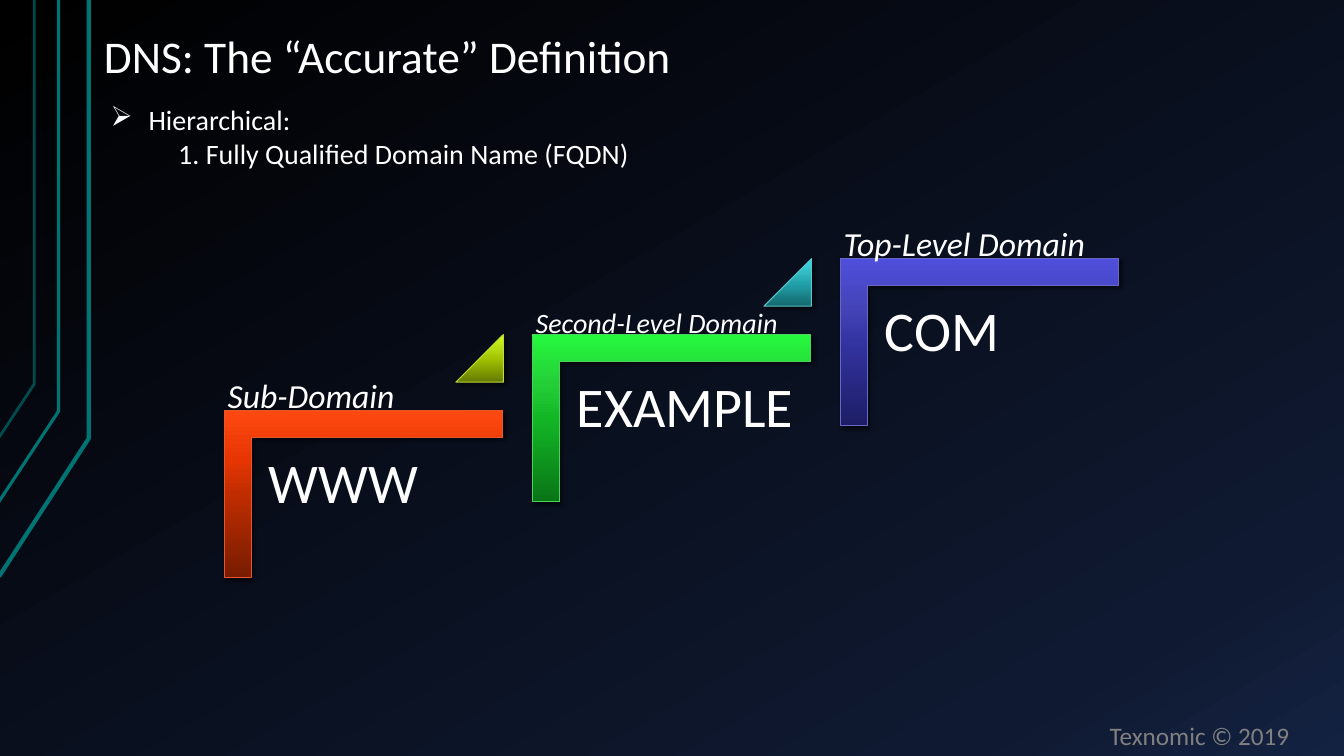
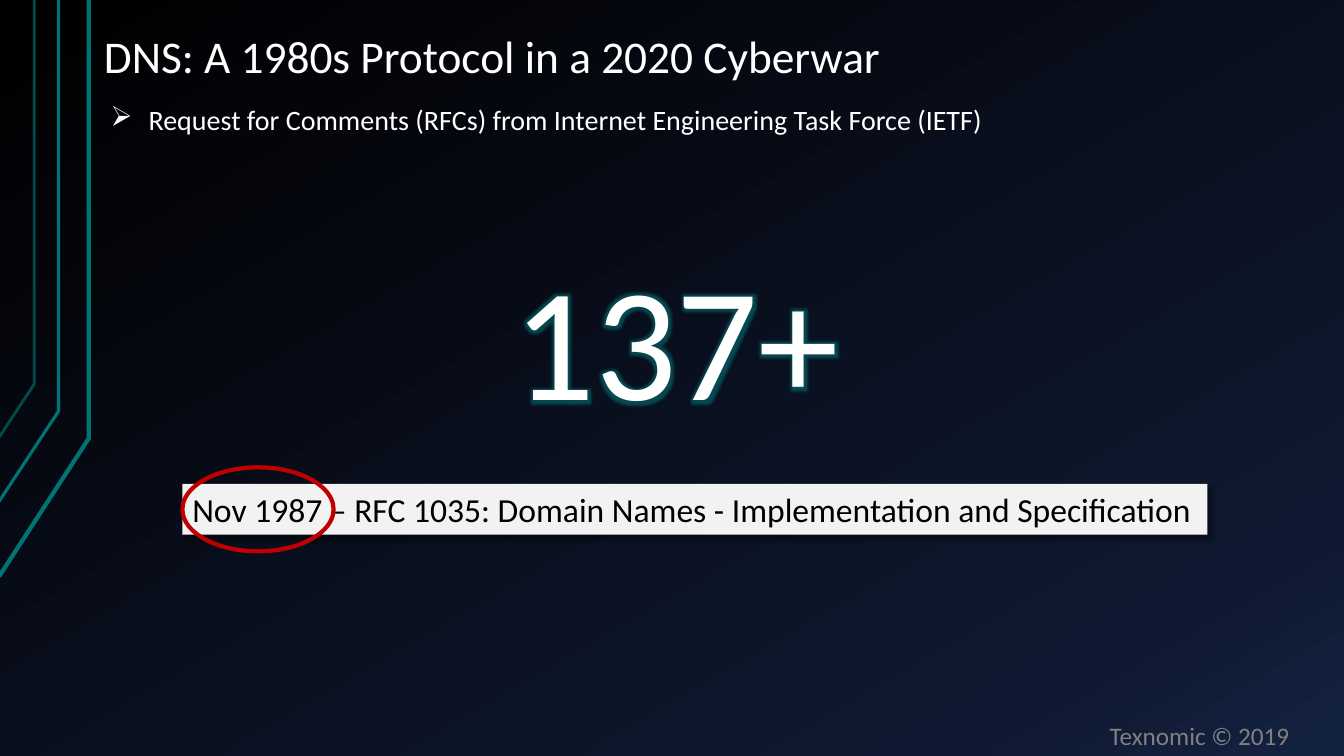
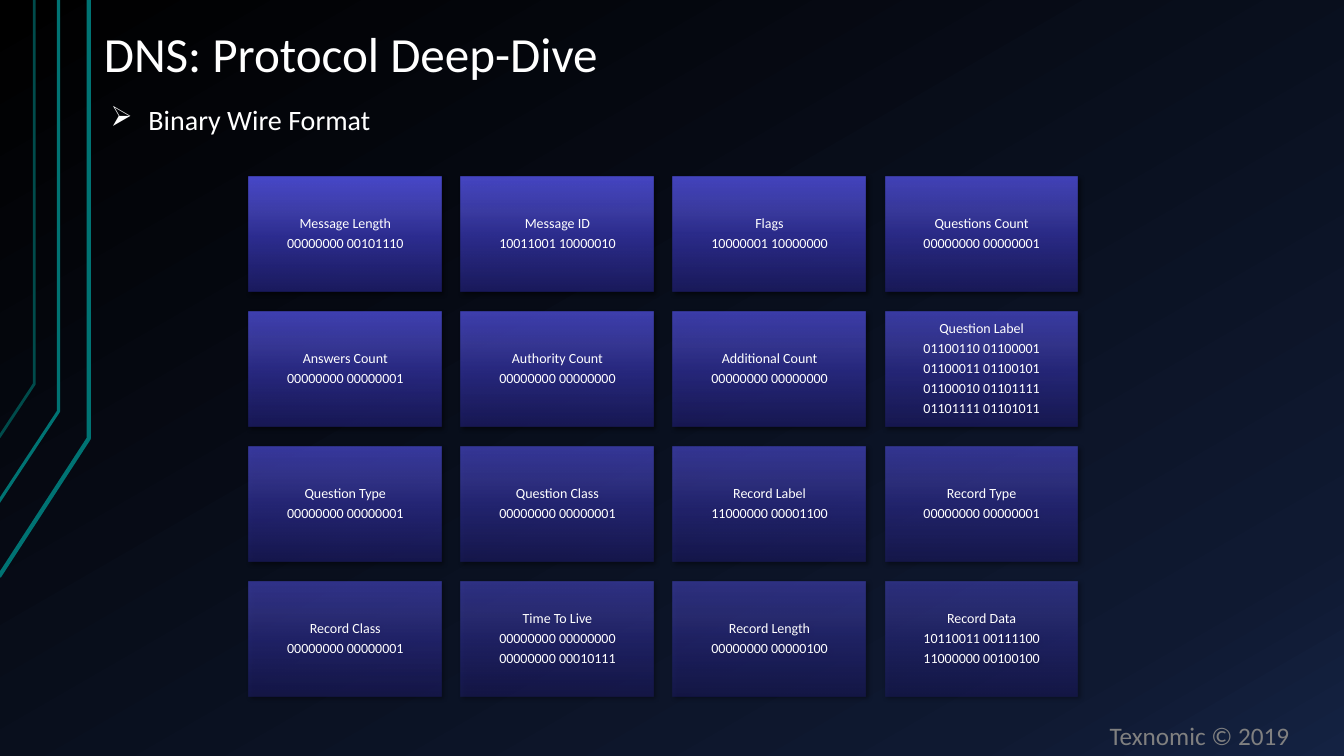
from lxml.etree import SubElement
from pptx import Presentation
from pptx.dml.color import RGBColor
from pptx.enum.shapes import MSO_SHAPE
from pptx.enum.text import MSO_ANCHOR, MSO_AUTO_SIZE, PP_ALIGN
from pptx.oxml.ns import qn
from pptx.util import Pt

COLORS = {
    "white": "FFFFFF", "black": "000000", "footer": "808080",
    "teal": "007373", "dim_teal": "004B4B", "glow": "00A0A0",
    "band": "F2F2F2", "ring": "C00000",
    "red_edge": "E5572B", "lime_edge": "BFDC3B", "green_edge": "4BD35B",
    "cyan_edge": "5AC5CB", "blue_edge": "6868C4",
}
RAMPS = {
    "backdrop": [(0, "000000"), (85, "0F1931"), (100, "142242")],
    "red": [(0, "771C00"), (50, "C02D00"), (70, "E63503"), (100, "FF4911")],
    "lime": [(0, "657A00"), (50, "A1C302"), (70, "B6DA13"), (100, "D6FF18")],
    "green": [(0, "097516"), (50, "13B726"), (70, "24CE37"), (100, "25F93E")],
    "cyan": [(0, "13686D"), (50, "23A4AC"), (70, "34BAC2"), (100, "3AE0EB")],
    "blue": [(0, "1D1D66"), (50, "3333A1"), (70, "4444B8"), (100, "4F4FDD")],
}
CORNER_LINES = [
    ("teal", 3, [(-0.7, 411.8), (63.4, 313.2), (63.4, 0)]),
    ("teal", 2.25, [(-1.4, 359.3), (41.8, 293.8), (41.8, 0)]),
    ("dim_teal", 2, [(-0.7, 312.5), (24.5, 274.3), (24.5, 0)]),
]
STEPS = [
    ("WWW", "red", "Sub-Domain", 24, 135.4),
    ("EXAMPLE", "green", "Second-Level Domain", 20, 188.6),
    ("COM", "blue", "Top-Level Domain", 24, 189.4),
]
FIELDS = [
    ("Message Length", "00000000 00101110"),
    ("Message ID", "10011001 10000010"),
    ("Flags", "10000001 10000000"),
    ("Questions Count", "00000000 00000001"),
    ("Answers Count", "00000000 00000001"),
    ("Authority Count", "00000000 00000000"),
    ("Additional Count", "00000000 00000000"),
    ("Question Label", "01100110 01100001", "01100011 01100101",
     "01100010 01101111", "01101111 01101011"),
    ("Question Type", "00000000 00000001"),
    ("Question Class", "00000000 00000001"),
    ("Record Label", "11000000 00001100"),
    ("Record Type", "00000000 00000001"),
    ("Record Class", "00000000 00000001"),
    ("Time To Live", "00000000 00000000", "00000000 00010111"),
    ("Record Length", "00000000 00000100"),
    ("Record Data", "10110011 00111100", "11000000 00100100"),
]


def rgb(name):
    return RGBColor.from_string(COLORS[name])


def add_color(parent, value, alpha):
    color = SubElement(parent, qn("a:srgbClr"), val=value)
    SubElement(color, qn("a:alpha"), val=str(round(alpha * 1000)))


def paint_gradient(fill, element, ramp, angle, alpha=100):
    fill.gradient()
    fill.gradient_angle = angle
    stops = next(element.iter(qn("a:gsLst")))
    stops.getparent().set("rotWithShape", "0")
    for stop in list(stops):
        stops.remove(stop)
    for position, value in RAMPS[ramp]:
        stop = SubElement(stops, qn("a:gs"), pos=str(position * 1000))
        add_color(stop, value, alpha)


def write_text(paragraph, text, size=20, color="white", italic=False, align=PP_ALIGN.LEFT,
               line_spacing=None, space_after=None, margin=0, bullet=None, glow=0):
    paragraph.alignment = align
    if line_spacing:
        paragraph.line_spacing = line_spacing
    if space_after:
        paragraph.space_after = Pt(space_after)
    if margin:
        properties = paragraph._p.get_or_add_pPr()
        properties.set("marL", str(Pt(margin)))
        properties.set("indent", str(Pt(-margin if bullet else 0)))
        if bullet:
            SubElement(properties, qn("a:buChar"), char=bullet)
    run = paragraph.add_run()
    run.text = text
    run.font.name = "Calibri"
    run.font.size = Pt(size)
    run.font.italic = italic
    run.font.color.rgb = rgb(color)
    if glow:
        properties = run.font._element
        effects = SubElement(properties, qn("a:effectLst"))
        properties.find(qn("a:solidFill")).addnext(effects)
        add_color(SubElement(effects, qn("a:glow"), rad=str(Pt(glow))), COLORS["glow"], 40)


class Deck:
    """Hold the shared style and the slide being built."""

    def __init__(self):
        self.presentation = Presentation()
        self.presentation.slide_width = Pt(960)
        self.presentation.slide_height = Pt(540)
        master = self.presentation.slide_master
        paint_gradient(master.background.fill, master.element, "backdrop", 300)
        self.slide = None

    def start(self, title, size=32.4, line_spacing=0.9):
        self.slide = self.presentation.slides.add_slide(self.presentation.slide_layouts[6])
        for color, width, points in CORNER_LINES:
            self.outline(points, color, width)
        self.text((64.8, 19.4, 815.8, 44.6), title, wrap=True, anchor=MSO_ANCHOR.MIDDLE,
                  insets=(9.4, 5), size=size, line_spacing=line_spacing)
        self.text((785.5, 511.2, 148.3, 28.8), "Texnomic © 2019", size=18, color="footer")

    def outline(self, points, color, width):
        corners = [(Pt(x), Pt(y)) for x, y in points]
        builder = self.slide.shapes.build_freeform(*corners[0])
        builder.add_line_segments(corners[1:], close=False)
        shape = builder.convert_to_shape()
        shape.shadow.inherit = False
        shape.fill.background()
        self.edge(shape, color, width)

    def edge(self, shape, color, width):
        if color:
            shape.line.color.rgb = rgb(color)
            shape.line.width = Pt(width)
        else:
            shape.line.fill.background()

    def text(self, box, *lines, wrap=False, anchor=MSO_ANCHOR.TOP, insets=(7.2, 3.6), **style):
        shape = self.slide.shapes.add_textbox(*map(Pt, box))
        self.fill_frame(shape, lines, wrap, anchor, insets, **style)
        return shape

    def fill_frame(self, shape, lines, wrap, anchor, insets, **style):
        frame = shape.text_frame
        frame.word_wrap = wrap
        frame.auto_size = MSO_AUTO_SIZE.NONE if wrap else MSO_AUTO_SIZE.SHAPE_TO_FIT_TEXT
        frame.vertical_anchor = anchor
        frame.margin_left = frame.margin_right = Pt(insets[0])
        frame.margin_top = frame.margin_bottom = Pt(insets[1])
        for index, line in enumerate(lines):
            paragraph = frame.add_paragraph() if index else frame.paragraphs[0]
            write_text(paragraph, line, **style)

    def bullet(self, width, text, detail=None):
        shape = self.text((72, 69.8, width, 31.7), text, margin=27, bullet="➢")
        if detail:
            shape.height = Pt(79.9)
            write_text(shape.text_frame.add_paragraph(), detail, margin=48.2)

    def shape(self, kind, box, fill=None, ramp=None, alpha=100, line=None, width=0.75,
              shadow=None, adjustments=(), rotation=0):
        shape = self.slide.shapes.add_shape(kind, *map(Pt, box))
        shape.rotation = rotation
        for index, value in enumerate(adjustments):
            shape.adjustments[index] = value
        if ramp:
            paint_gradient(shape.fill, shape._element, ramp, 90, alpha)
        elif fill:
            shape.fill.solid()
            shape.fill.fore_color.rgb = rgb(fill)
        else:
            shape.fill.background()
        self.edge(shape, line, width)
        shape.shadow.inherit = False
        if shadow:
            opacity, blur, distance = shadow
            effects = shape._element.spPr.find(qn("a:effectLst"))
            outer = SubElement(effects, qn("a:outerShdw"), blurRad=str(Pt(blur)),
                               dist=str(Pt(distance)), dir="2700000", algn="ctr",
                               rotWithShape="0")
            add_color(outer, COLORS["black"], opacity)
        return shape


SOFT_SHADOW = (60, 3, 2)


def build_hierarchy(deck):
    deck.start("DNS: The “Accurate” Definition")
    deck.bullet(388.1, "Hierarchical:", "1. Fully Qualified Domain Name (FQDN)")
    run, rise = 220, 54.3
    for index, (name, ramp, label, size, width) in enumerate(STEPS):
        x, y = index * run, -index * rise
        deck.shape(MSO_SHAPE.CORNER, (200.1, 253.4 + y, 119.5, 198.7) if not index
                   else (200.1 + x, 253.4 + y, 119.5, 198.7), ramp=ramp,
                   line=ramp + "_edge", shadow=SOFT_SHADOW,
                   adjustments=(0.161, 0.161), rotation=90)
        deck.text((180 + x, 313.2 + y, 180, 157.7), name, wrap=True, insets=(12, 12),
                  size=40, line_spacing=0.9)
        label_top = 264.2 if size == 24 else 268.9
        deck.text((155.5 + x, label_top + y, width, 1.5 * size), label, size=size, italic=True)
    for index, ramp in enumerate(("lime", "cyan")):
        deck.shape(MSO_SHAPE.ISOSCELES_TRIANGLE,
                   (325.6 + index * run, 239 - index * rise, 34, 34), ramp=ramp,
                   line=ramp + "_edge", shadow=SOFT_SHADOW, adjustments=(1,))


def build_history(deck):
    deck.start("DNS: A 1980s Protocol in a 2020 Cyberwar")
    deck.bullet(647.3, "Request for Comments (RFCs) from Internet Engineering Task Force (IETF)")
    band = deck.shape(MSO_SHAPE.RECTANGLE, (130.3, 345.6, 732.2, 36.3), fill="band",
                      shadow=(40, 4, 3))
    deck.fill_frame(band, ["Nov 1987 – RFC 1035: Domain Names - Implementation and Specification"],
                    True, MSO_ANCHOR.TOP, (7.2, 3.6), size=24, color="black")
    deck.shape(MSO_SHAPE.OVAL, (130.3, 333.8, 108, 60), line="ring", width=3)
    deck.text((360, 167.8, 249.1, 146.9), "137+", size=115, glow=5)


def build_wire_format(deck):
    deck.start("DNS: Protocol Deep-Dive", size=35.1, line_spacing=0.8)
    deck.bullet(201.6, "Binary Wire Format")
    columns, width, height, gap = 4, 137.7, 82.6, 13.8
    for index, lines in enumerate(FIELDS):
        row, column = divmod(index, columns)
        box = (177.8 + column * (width + gap), 126 + row * (height + gap), width, height)
        alpha = 90 - 40 * index / (len(FIELDS) - 1)
        card = deck.shape(MSO_SHAPE.RECTANGLE, box, ramp="blue", alpha=alpha, shadow=SOFT_SHADOW)
        deck.fill_frame(card, lines, True, MSO_ANCHOR.MIDDLE, (3, 3), size=10,
                        align=PP_ALIGN.CENTER, line_spacing=0.9, space_after=3.5)


def main():
    deck = Deck()
    build_hierarchy(deck)
    build_history(deck)
    build_wire_format(deck)
    deck.presentation.save("out.pptx")


if __name__ == "__main__":
    main()
